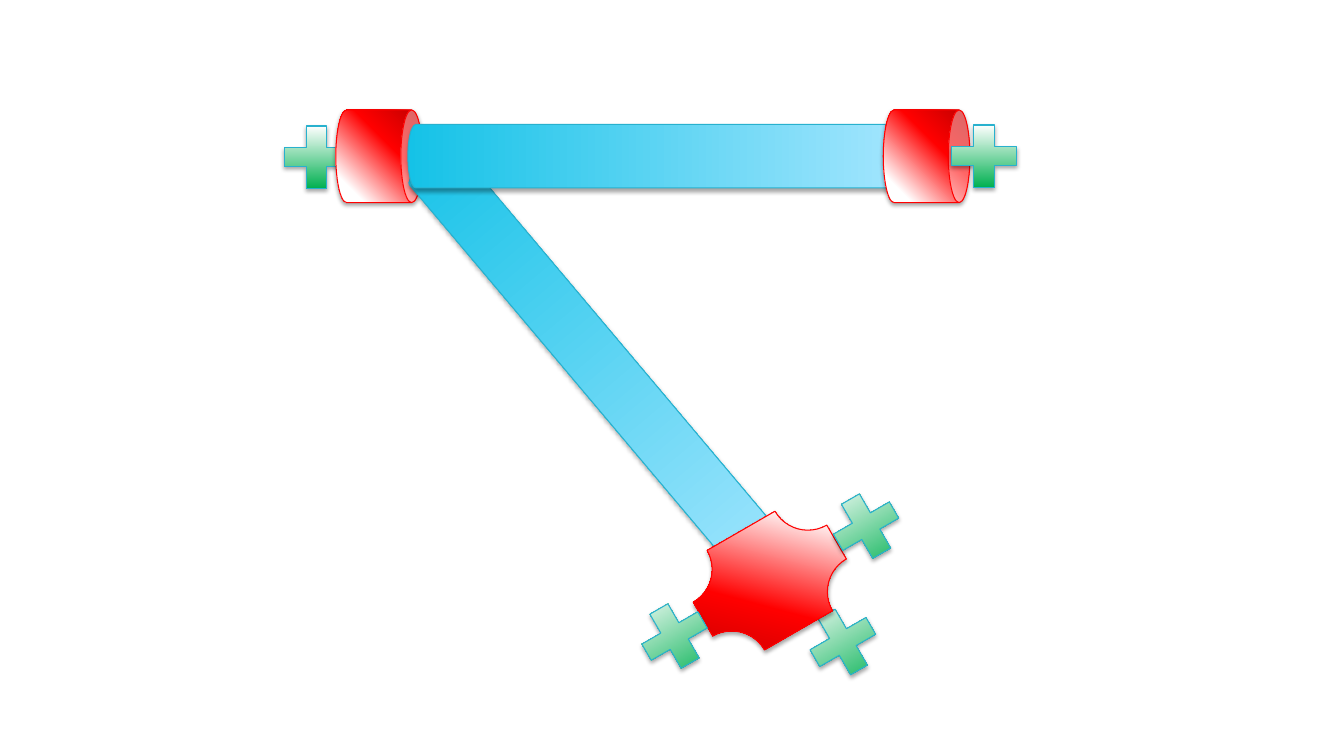
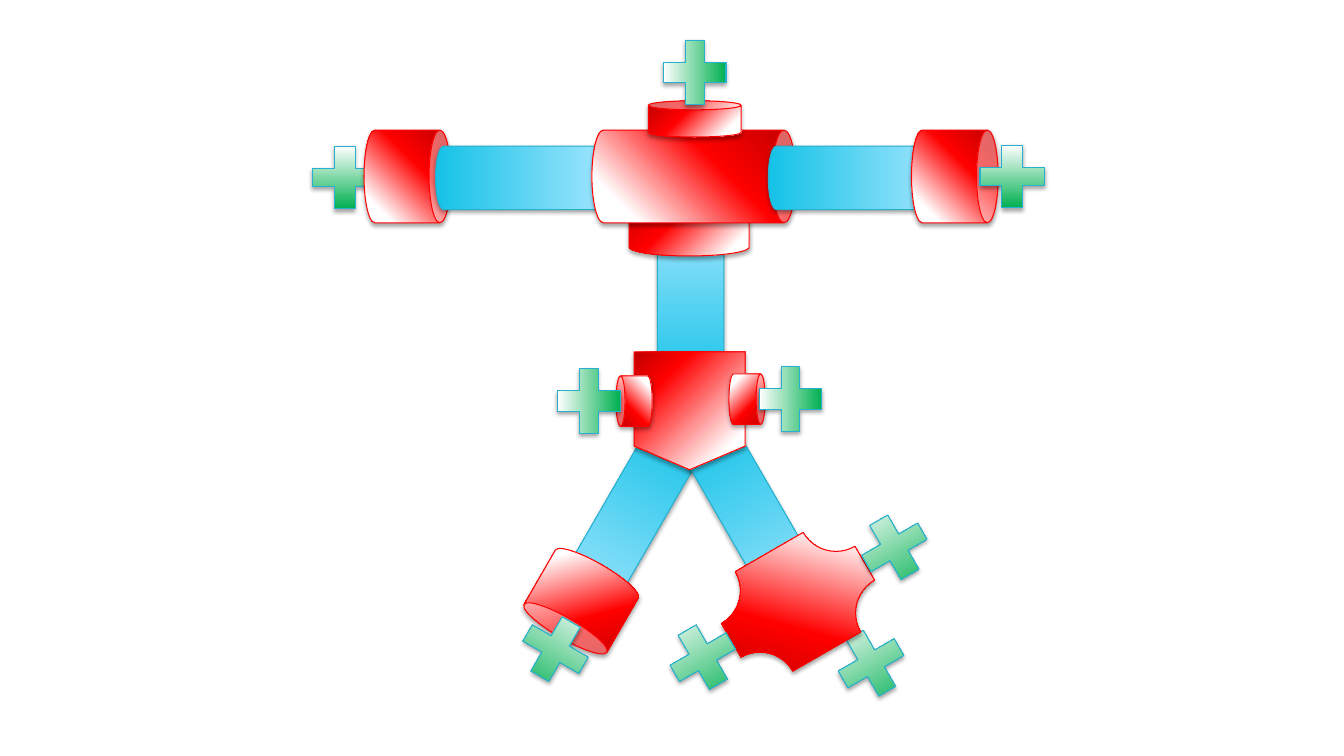
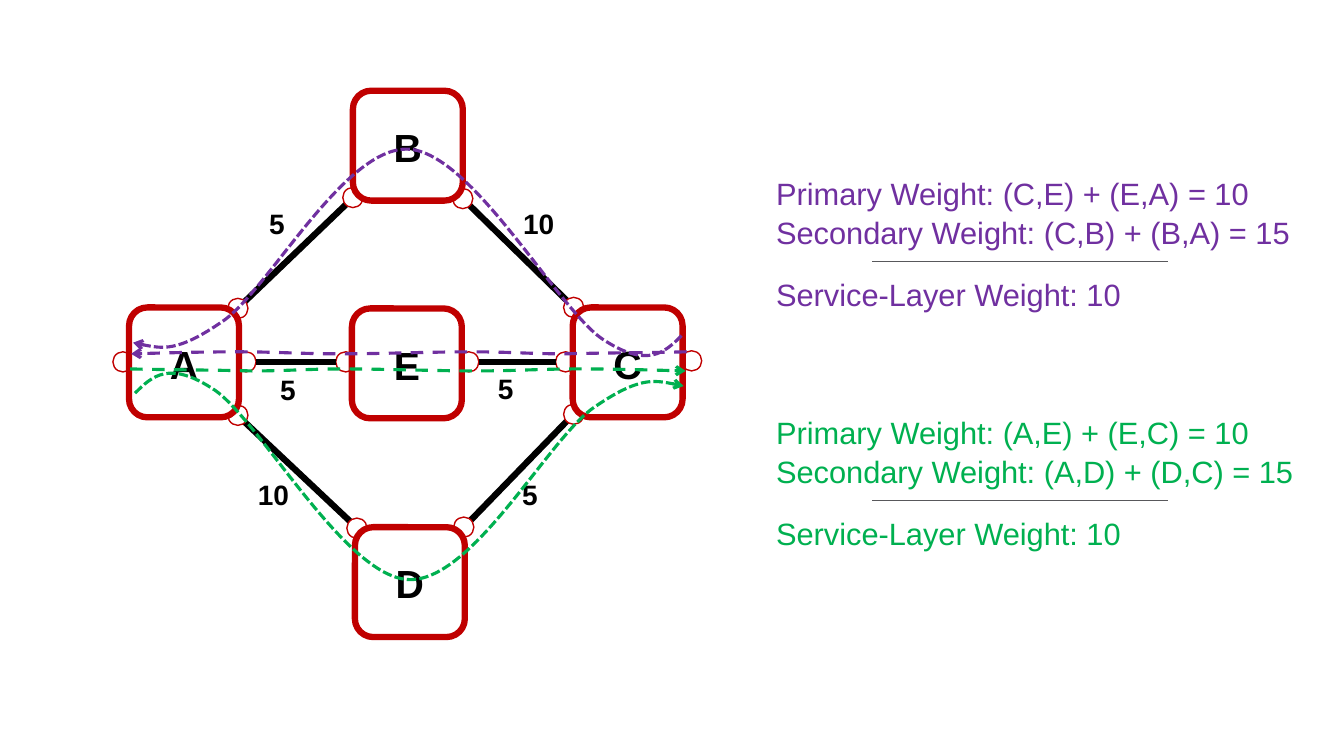
from collections import namedtuple

from lxml import etree
from pptx import Presentation
from pptx.dml.color import RGBColor
from pptx.enum.dml import MSO_LINE
from pptx.enum.shapes import MSO_CONNECTOR, MSO_SHAPE
from pptx.enum.text import MSO_ANCHOR, MSO_AUTO_SIZE, PP_ALIGN
from pptx.oxml.ns import qn
from pptx.util import Inches, Pt

# Lengths are columns and rows of a 13.33 by 7.5 grid, one inch a cell.
COLS, ROWS = 13.33, 7.5
FONT = "Arial"
LEADING = 1.05

BLACK = RGBColor(0x00, 0x00, 0x00)
WHITE = RGBColor(0xFF, 0xFF, 0xFF)
RED = RGBColor(0xFF, 0x00, 0x00)
CRIMSON = RGBColor(0xC0, 0x00, 0x00)
GREEN = RGBColor(0x00, 0xB0, 0x50)
PURPLE = RGBColor(0x70, 0x30, 0xA0)
TEAL = RGBColor(0x28, 0xB1, 0xCE)
CYAN = RGBColor(0x15, 0xC2, 0xE7)
SKY = RGBColor(0xA8, 0xE7, 0xFF)
GRAY = RGBColor(0x58, 0x58, 0x5B)

CAN, PLUS, PLAQUE = MSO_SHAPE.CAN, MSO_SHAPE.CROSS, MSO_SHAPE.PLAQUE
BADGE = MSO_SHAPE.FLOWCHART_OFFPAGE_CONNECTOR
ROUND, OVAL = MSO_SHAPE.ROUNDED_RECTANGLE, MSO_SHAPE.OVAL
STRAIGHT = MSO_CONNECTOR.STRAIGHT
DASH, DOTS = MSO_LINE.DASH, MSO_LINE.SQUARE_DOT
MIDDLE, CENTER = MSO_ANCHOR.MIDDLE, PP_ALIGN.CENTER
GROW = MSO_AUTO_SIZE.SHAPE_TO_FIT_TEXT

Skin = namedtuple("Skin", "stops angle edge")
TUBE = Skin([(0, CYAN), (100, SKY)], 270, TEAL)
TIP = Skin([(0, GREEN), (100, WHITE)], 270, TEAL)
JOINT = Skin([(0, CRIMSON), (38, RED), (84, WHITE)], 45, RED)
FOOT = JOINT._replace(angle=315)
HIP = JOINT._replace(stops=[(0, CRIMSON), (25, RED), (83, WHITE)])
NECK = JOINT._replace(stops=[(0, CRIMSON), (42, RED), (87, WHITE)])

PLUS_W, PLUS_H, PLUS_ADJ = 0.64, 0.62, 0.35
CAP_W, CAP_H = 0.92, 0.86
SIDE, PORT = 1.09, 0.2


def cells(*vals):
    """Turn grid cells into slide lengths."""
    return [Inches(v) for v in vals]


def tint(parent, color):
    """Add a plain colour to an XML parent and return it."""
    return etree.SubElement(parent, qn("a:srgbClr"), val=str(color))


def shade(shape, skin):
    """Give a shape the gradient, edge and soft shadow of a skin."""
    fill = shape.fill
    fill.gradient()
    fill.gradient_angle = 360 - skin.angle
    props = shape._element.spPr
    stops = props.find(qn("a:gradFill")).find(qn("a:gsLst"))
    for old in list(stops):
        stops.remove(old)
    for pos, color in skin.stops:
        tint(etree.SubElement(stops, qn("a:gs"), pos=str(pos * 1000)), color)
    shape.line.color.rgb = skin.edge
    shape.line.width = Pt(0.75)
    shape.shadow.inherit = False
    cast = etree.SubElement(
        props.find(qn("a:effectLst")), qn("a:outerShdw"),
        blurRad=str(Pt(3.1)), dist=str(Pt(1.8)), dir="5400000",
        rotWithShape="0")
    etree.SubElement(tint(cast, BLACK), qn("a:alpha"), val="35000")


def part(slide, kind, box, skin, turn=0, flip="", adj=None):
    """Place one shaded part, turned and flipped inside its box."""
    shape = slide.shapes.add_shape(kind, *cells(*box))
    shade(shape, skin)
    shape.rotation = turn
    frame = shape._element.spPr.find(qn("a:xfrm"))
    for axis in flip:
        frame.set("flip" + axis, "1")
    if adj:
        shape.adjustments[0] = adj
    return shape


def tip(slide, x, y, turn=0, flip="", high=PLUS_H):
    """Place a green plus."""
    part(slide, PLUS, (x, y, PLUS_W, high), TIP, turn, flip, PLUS_ADJ)


def cap(slide, x, y):
    """Place the red cap of an arm."""
    part(slide, CAN, (x, y, CAP_W, CAP_H), JOINT, 90)


def left_end(slide, x, y):
    """Draw the left plus and its cap from their top left corner."""
    tip(slide, x, y + 0.13)
    cap(slide, x + 0.48, y)


def right_end(slide, x, y):
    """Draw the right cap and its plus from their top left corner."""
    cap(slide, x, y)
    tip(slide, x + 0.71, y + 0.12)


def foot(slide, x, y):
    """Draw the plaque with three pluses around it."""
    tip(slide, x + 1.17, y + 0.86, 330, "H", PLUS_W)
    part(slide, PLAQUE, (x, y, 1.53, 1.14), FOOT, 330, adj=0.33)
    for dx, dy in ((1.4, -0.28), (-0.5, 0.81)):
        tip(slide, x + dx, y + dy, 330, "H")


def trunk(slide, x, y):
    """Draw the grouped body: a neck can behind a lying can."""
    neck = part(slide, CAN, (x, y + 1.09, 1.19, 0.71), NECK)
    body = part(slide, CAN, (x + 0.18, y, 0.92, 2.02), JOINT, 90)
    slide.shapes.add_group_shape([neck, body])


def simple(slide):
    """Build the slide with one arm and one long leg."""
    left_end(slide, 2.82, 1.12)
    part(slide, CAN, (5.69, 0.95, 0.59, 5.42), TUBE, 319.9, "HV")
    foot(slide, 6.87, 5.19)
    part(slide, CAN, (6.27, -0.99, 0.63, 5.08), TUBE, 90)
    right_end(slide, 8.73, 1.12)


def figure(slide):
    """Build the slide with the full jointed figure."""
    left_end(slide, 3.1, 1.32)
    part(slide, CAN, (4.9, 0.87, 0.63, 1.79), TUBE, 90)
    part(slide, CAN, (6.52, 1.98, 0.66, 1.92), TUBE)
    part(slide, CAN, (5.93, 4.3, 0.59, 1.77), TUBE, 30, "V")
    part(slide, CAN, (7.21, 4.31, 0.59, 1.77), TUBE, 330, "HV")
    part(slide, BADGE, (6.29, 3.49, 1.1, 1.17), HIP)
    trunk(slide, 6.24, 0.74)
    part(slide, CAN, (8.2, 0.87, 0.63, 1.79), TUBE, 90)
    right_end(slide, 9.01, 1.32)
    part(slide, CAN, (5.29, 5.55, 0.95, 0.83), JOINT, 30, "HV")
    tip(slide, 5.19, 6.13, 30)
    foot(slide, 7.15, 5.4)
    part(slide, CAN, (6.43, 1, 0.92, 0.36), JOINT)
    tip(slide, 6.57, 0.41, 270, "H")
    for x, y, turn, flip, tip_x in ((6.04, 3.8, 270, "", 5.52),
                                    (7.16, 3.78, 90, "H", 7.52)):
        part(slide, CAN, (x, y, 0.5, 0.36), JOINT, turn, flip)
        tip(slide, tip_x, y - 0.13, 270, "H")


def style(para, size, color, bold=False):
    """Format a paragraph and its runs."""
    para.line_spacing = LEADING
    for run in para.runs:
        font = run.font
        font.name, font.size, font.bold = FONT, Pt(size), bold
        font.color.rgb = color


def rule(slide, ends, color, width):
    """Draw a straight line without a shadow."""
    line = slide.shapes.add_connector(STRAIGHT, *cells(*ends))
    line.line.color.rgb = color
    line.line.width = Pt(width)
    etree.SubElement(line._element.spPr, qn("a:effectLst"))


def plain(slide, kind, box, width):
    """Place a white shape with a crimson edge."""
    shape = slide.shapes.add_shape(kind, *cells(*box))
    shape.shadow.inherit = False
    shape.fill.solid()
    shape.fill.fore_color.rgb = WHITE
    shape.line.color.rgb = CRIMSON
    shape.line.width = Pt(width)
    return shape


def node(slide, name, x, y):
    """Draw one named network node."""
    frame = plain(slide, ROUND, (x, y, SIDE, SIDE), 4.5).text_frame
    frame.text = name
    frame.vertical_anchor = MIDDLE
    frame.paragraphs[0].alignment = CENTER
    style(frame.paragraphs[0], 28, BLACK, True)


def note(slide, lines, box, size, color, bold=False):
    """Place a text box and return its paragraphs."""
    frame = slide.shapes.add_textbox(*cells(*box)).text_frame
    frame.word_wrap = True
    frame.auto_size = GROW
    frame.text = "\n".join(lines)
    for para in frame.paragraphs:
        style(para, size, color, bold)
    return frame.paragraphs


def route(slide, points, color, dash):
    """Draw a dashed arrow: a start, then three points for each curve."""
    spots = [cells(*p) for p in points]
    pen = slide.shapes.build_freeform(*spots[0])
    pen.add_line_segments(spots[1:], close=False)
    shape = pen.convert_to_shape()
    shape.shadow.inherit = False
    shape.fill.background()
    line = shape.line
    line.color.rgb, line.width, line.dash_style = color, Pt(2.25), dash
    props = shape._element.spPr
    etree.SubElement(props.find(qn("a:ln")), qn("a:tailEnd"), type="arrow")
    legs = props.findall(".//" + qn("a:lnTo"))
    for i in range(0, len(legs), 3):
        curve = etree.SubElement(legs[i].getparent(), qn("a:cubicBezTo"))
        for leg in legs[i:i + 3]:
            curve.append(leg[0])
            leg.getparent().remove(leg)


def summary(slide, x, y, lines, color):
    """Write a weight sum with a rule above its result."""
    paras = note(slide, lines, (x, y, 5.4, 1.45), 22, color)
    paras[-1].space_before = Pt(16.5)
    rule(slide, (x + 1.05, y + 0.92, x + 3.98, y + 0.92), GRAY, 0.5)


LINKS = [(2.43, 4.19, 3.47, 5.17), (2.43, 2.99, 3.43, 2.03),
         (4.66, 2.04, 5.62, 2.98), (4.67, 5.16, 5.62, 4.18)]
INNER = [(4.75, 3.59, 5.51, 3.59), (2.54, 3.59, 3.33, 3.59)]
PORTS = [(1.12, 3.49), (2.26, 2.96), (3.4, 1.86), (2.26, 4.02),
         (3.44, 5.14), (4.5, 5.13), (5.59, 4.01), (4.49, 1.87),
         (5.59, 2.95), (6.76, 3.48), (3.33, 3.49), (4.55, 3.49),
         (2.34, 3.49), (5.51, 3.49)]
NODES = [("B", 3.5, 0.9), ("D", 3.52, 5.23), ("E", 3.49, 3.06),
         ("A", 1.28, 3.05), ("C", 5.68, 3.05)]
COSTS = [("5", 2.57, 1.98), ("10", 5.09, 1.98), ("10", 2.46, 4.67),
         ("5", 5.08, 4.67), ("5", 2.68, 3.63), ("5", 4.84, 3.62)]
ARC = [(6.76, 3.33), (6.59, 3.5), (6.42, 3.66), (5.97, 3.36),
       (5.52, 3.05), (4.68, 1.51), (4.05, 1.48), (3.42, 1.45),
       (2.67, 2.86), (2.22, 3.18), (1.76, 3.5), (1.54, 3.45), (1.32, 3.4)]
LANE = [(6.81, 3.49), (6.41, 3.5), (6, 3.5), (5.6, 3.51),
        (5.25, 3.51), (5.05, 3.49), (4.68, 3.49), (4.31, 3.49),
        (3.76, 3.51), (3.38, 3.51), (2.99, 3.51), (2.72, 3.49),
        (2.38, 3.49), (2.03, 3.49), (1.67, 3.5), (1.3, 3.51)]
SPAN_X, SPAN_Y, LANE_GAP = 8.1, 7.23, 0.17


def network(slide):
    """Build the slide with the weighted network and its routes."""
    for ends in LINKS:
        rule(slide, ends, BLACK, 4.5)
    for x, y in PORTS:
        plain(slide, OVAL, (x, y, PORT, PORT), 1)
    for name, x, y in NODES:
        node(slide, name, x, y)
    for ends in INNER:
        rule(slide, ends, BLACK, 4.5)
    for cost, x, y in COSTS:
        note(slide, [cost], (x, y, 0.6, 0.44), 20, BLACK, True)
    route(slide, ARC, PURPLE, DOTS)
    route(slide, LANE, PURPLE, DASH)
    route(slide, [(SPAN_X - x, y + LANE_GAP) for x, y in LANE], GREEN, DASH)
    route(slide, [(SPAN_X - x, SPAN_Y - y) for x, y in ARC], GREEN, DOTS)
    summary(slide, 7.6, 1.67, ["Primary Weight: (C,E) + (E,A) = 10",
                               "Secondary Weight: (C,B) + (B,A) = 15",
                               "Service-Layer Weight: 10"], PURPLE)
    summary(slide, 7.6, 4.04, ["Primary Weight: (A,E) + (E,C) = 10",
                               "Secondary Weight: (A,D) + (D,C) = 15",
                               "Service-Layer Weight: 10"], GREEN)


def main():
    """Build and save the deck."""
    deck = Presentation()
    deck.slide_width, deck.slide_height = cells(COLS, ROWS)
    blank = deck.slide_layouts[6]
    for build in (simple, figure, network):
        build(deck.slides.add_slide(blank))
    deck.save("out.pptx")


main()
